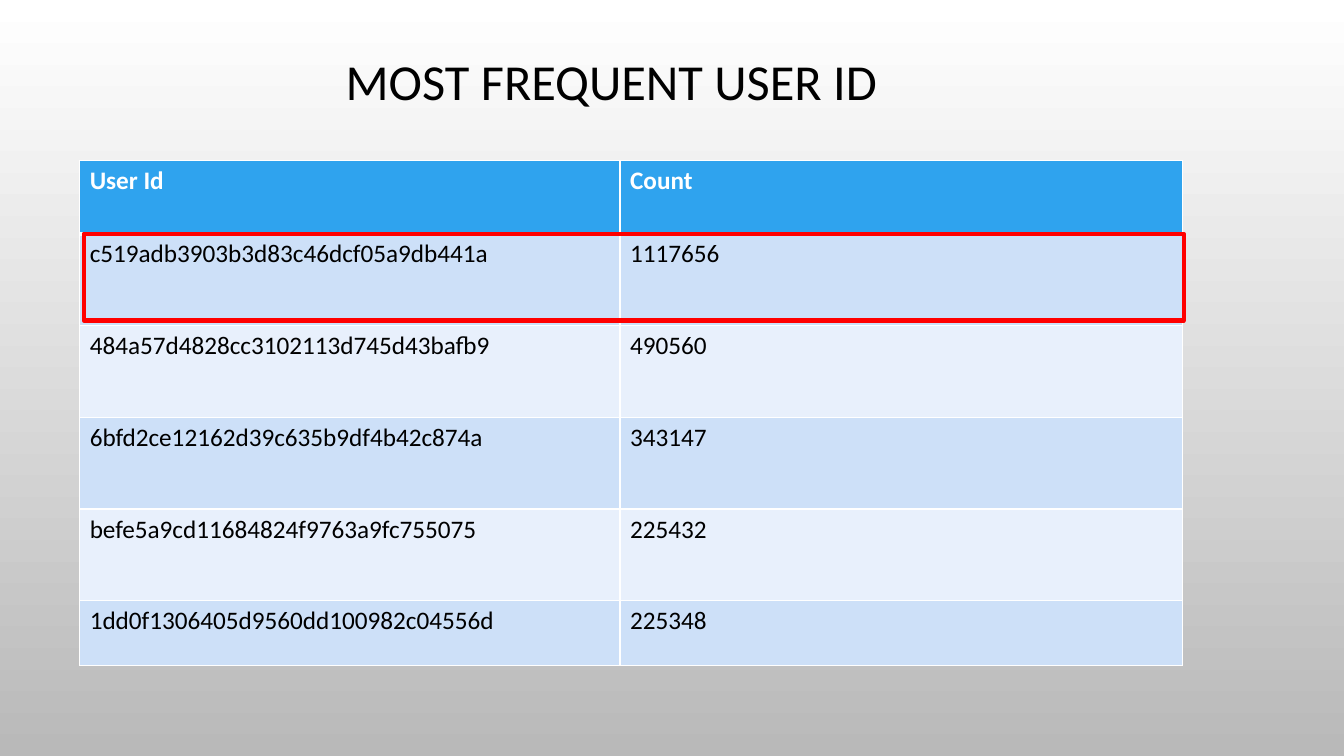
from lxml.etree import SubElement
from pptx import Presentation
from pptx.dml.color import RGBColor
from pptx.enum.shapes import MSO_SHAPE
from pptx.enum.text import MSO_ANCHOR, PP_ALIGN
from pptx.oxml.ns import qn
from pptx.util import Inches, Pt

WHITE = RGBColor(0xFF, 0xFF, 0xFF)
BLACK = RGBColor(0x00, 0x00, 0x00)
GREY = RGBColor(0xB9, 0xB9, 0xB9)
HEADER_BLUE = RGBColor(0x2F, 0xA3, 0xEE)
BAND_DARK = RGBColor(0xCD, 0xE0, 0xF8)
BAND_LIGHT = RGBColor(0xE8, 0xF0, 0xFC)
RED = RGBColor(0xFF, 0x00, 0x00)

FONT = "Calibri"
COLUMN_WIDTHS = [5.36, 5.58]
ROW_HEIGHTS = [0.73] + [0.91] * 4 + [0.64]
USER_COUNTS = [
    ("User Id", "Count"),
    ("c519adb3903b3d83c46dcf05a9db441a", "1117656"),
    ("484a57d4828cc3102113d745d43bafb9", "490560"),
    ("6bfd2ce12162d39c635b9df4b42c874a", "343147"),
    ("befe5a9cd11684824f9763a9fc755075", "225432"),
    ("1dd0f1306405d9560dd100982c04556d", "225348"),
]


def paint_background(slide):
    """Shade the slide from white at the top to grey at the bottom."""
    fill = slide.background.fill
    fill.gradient()
    fill.gradient_angle = 270
    for stop, color, position in zip(fill.gradient_stops, (WHITE, GREY), (0, 1)):
        stop.color.rgb = color
        stop.position = position


def add_run(paragraph, text, size, color, bold=False):
    """Append one formatted run to a paragraph."""
    run = paragraph.add_run()
    run.text = text
    run.font.name = FONT
    run.font.size = Pt(size)
    run.font.bold = bold
    run.font.color.rgb = color


def place_title(slide, left, top, width, height):
    """Fit the title placeholder into its box and fill in the heading."""
    title = slide.shapes.title
    title.left, title.top = Inches(left), Inches(top)
    title.width, title.height = Inches(width), Inches(height)
    title.text_frame.vertical_anchor = MSO_ANCHOR.MIDDLE
    heading = title.text_frame.paragraphs[0]
    heading.alignment = PP_ALIGN.CENTER
    heading.line_spacing = 0.9
    add_run(heading, "MOST FREQUENT USER ID", 36, BLACK)


def set_borders(cell, bottom_width):
    """Draw white lines on all four sides of a cell."""
    properties = cell._tc.get_or_add_tcPr()
    for side, width in (("L", 1), ("R", 1), ("T", 1), ("B", bottom_width)):
        line = SubElement(properties, qn(f"a:ln{side}"), w=str(Pt(width)))
        solid = SubElement(line, qn("a:solidFill"))
        SubElement(solid, qn("a:srgbClr"), val=str(WHITE))


def add_user_table(slide, left, top):
    """Build the table of user ids and counts from its top left corner."""
    table = slide.shapes.add_table(
        len(ROW_HEIGHTS), len(COLUMN_WIDTHS), Inches(left), Inches(top),
        Inches(sum(COLUMN_WIDTHS)), Inches(sum(ROW_HEIGHTS))).table
    for column, width in zip(table.columns, COLUMN_WIDTHS):
        column.width = Inches(width)
    for index, (row, height) in enumerate(zip(table.rows, ROW_HEIGHTS)):
        row.height = Inches(height)
        is_header = index == 0
        band = HEADER_BLUE if is_header else BAND_DARK if index % 2 else BAND_LIGHT
        for cell, text in zip(row.cells, USER_COUNTS[index]):
            set_borders(cell, 3 if is_header else 1)
            cell.fill.solid()
            cell.fill.fore_color.rgb = band
            add_run(cell.text_frame.paragraphs[0], text, 18,
                    WHITE if is_header else BLACK, is_header)


def add_highlight(slide, left, top, width, height):
    """Frame the most frequent user in red."""
    highlight = slide.shapes.add_shape(
        MSO_SHAPE.RECTANGLE, Inches(left), Inches(top), Inches(width), Inches(height))
    highlight.shadow.inherit = False
    highlight.fill.background()
    highlight.line.color.rgb = RED
    highlight.line.width = Pt(3)


def main():
    """Build and save the slide."""
    presentation = Presentation()
    presentation.slide_width = Inches(13.33)
    presentation.slide_height = Inches(7.5)
    slide = presentation.slides.add_slide(presentation.slide_layouts[5])
    table_left, table_top = 0.79, 1.59
    paint_background(slide)
    place_title(slide, 0.4, 0.41, 11.33, 0.86)
    add_user_table(slide, table_left, table_top)
    add_highlight(slide, table_left + 0.04, table_top + ROW_HEIGHTS[0], 10.91, 0.86)
    presentation.save("out.pptx")


if __name__ == "__main__":
    main()
